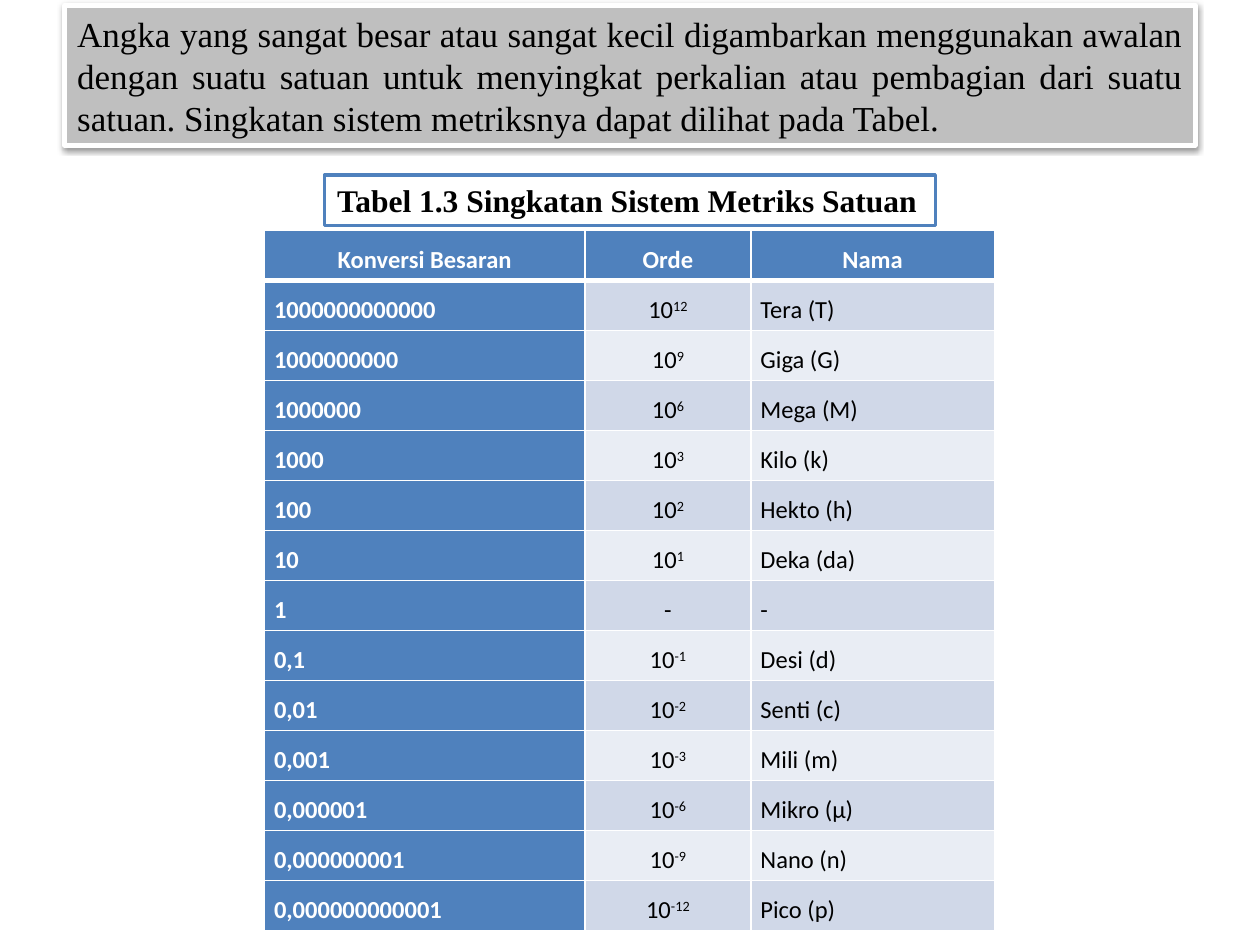
from pptx import Presentation
from pptx import util as u
from pptx.dml.color import RGBColor
from pptx.enum import shapes, text
from pptx.oxml import parse_xml
from pptx.oxml.ns import nsdecls

theme = {
    "blue": "4F81BD", "white": "FFFFFF", "black": "000000", "gray": "BFBFBF",
    "bands": ["D0D8E8", "E9EDF4"],
    "serif": "Times New Roman", "sans": "Calibri",
    "intro_size": 20, "caption_size": 18, "table_size": 14,
}


def write(paragraph, words, size, name, color, bold=False, alignment=text.PP_ALIGN.LEFT):
    paragraph.alignment = alignment
    run = paragraph.add_run()
    run.text = words
    for key, value in {"size": u.Pt(size), "name": name, "bold": bold}.items():
        setattr(run.font, key, value)
    run.font.color.rgb = RGBColor.from_string(color)
    return run


def style_box(shape, box, fill, line, line_width, frame_format):
    for key, value in zip(("left", "top", "width", "height"), box):
        setattr(shape, key, u.Pt(value))
    shape.fill.solid()
    shape.fill.fore_color.rgb = RGBColor.from_string(fill)
    shape.line.color.rgb = RGBColor.from_string(line)
    shape.line.width = u.Pt(line_width)
    for key, value in frame_format.items():
        setattr(shape.text_frame, key, value)


presentation = Presentation()
presentation.slide_width, presentation.slide_height = u.Pt(720), u.Pt(540)
slide = presentation.slides.add_slide(presentation.slide_layouts[5])

frame_format = {"word_wrap": True, "auto_size": text.MSO_AUTO_SIZE.NONE,
                "vertical_anchor": text.MSO_ANCHOR.MIDDLE}
caption = slide.shapes.title
style_box(caption, (185.5, 100, 349, 29), theme["white"], theme["blue"], 2, frame_format)
write(caption.text_frame.paragraphs[0], "Tabel 1.3 Singkatan Sistem Metriks Satuan",
      theme["caption_size"], theme["serif"], theme["black"], bold=True)

intro = slide.shapes.add_shape(shapes.MSO_SHAPE.RECTANGLE, 0, 0, 0, 0)
style_box(intro, (37, 3, 646, 80), theme["gray"], theme["white"], 3, frame_format)
write(intro.text_frame.paragraphs[0],
      "Angka yang sangat besar atau sangat kecil digambarkan menggunakan awalan dengan "
      "suatu satuan untuk menyingkat perkalian atau pembagian dari suatu satuan. "
      "Singkatan sistem metriksnya dapat dilihat pada Tabel.",
      theme["intro_size"], theme["serif"], theme["black"], alignment=text.PP_ALIGN.JUSTIFY)
intro.shadow.inherit = False
intro.element.spPr.remove(intro.element.spPr[-1])
intro.element.spPr.append(parse_xml(
    f'<a:effectLst {nsdecls("a")}><a:outerShdw blurRad="{u.Pt(3.1)}" dist="{u.Pt(1.6)}" '
    f'dir="5400000" rotWithShape="0"><a:srgbClr val="{theme["black"]}">'
    '<a:alpha val="38000"/></a:srgbClr></a:outerShdw></a:effectLst>'))

rows = [
    ("Konversi Besaran", "Orde", "Nama"),
    ("1000000000000", "12", "Tera (T)"),
    ("1000000000", "9", "Giga (G)"),
    ("1000000", "6", "Mega (M)"),
    ("1000", "3", "Kilo (k)"),
    ("100", "2", "Hekto (h)"),
    ("10", "1", "Deka (da)"),
    ("1", "-", "-"),
    ("0,1", "-1", "Desi (d)"),
    ("0,01", "-2", "Senti (c)"),
    ("0,001", "-3", "Mili (m)"),
    ("0,000001", "-6", "Mikro (µ)"),
    ("0,000000001", "-9", "Nano (n)"),
    ("0,000000000001", "-12", "Pico (p)"),
]
column_widths = [183, 95, 139]
row_height = 28.6
table = slide.shapes.add_table(len(rows), len(column_widths), u.Pt(151.2), u.Pt(131.8),
                               u.Pt(sum(column_widths)), u.Pt(row_height * len(rows))).table
for column, width in zip(table.columns, column_widths):
    column.width = u.Pt(width)

cell_format = {"margin_left": u.Pt(5.4), "margin_right": u.Pt(5.4),
               "margin_top": 0, "margin_bottom": 0}
for row_index, row in enumerate(rows):
    table.rows[row_index].height = u.Pt(row_height)
    for column_index, words in enumerate(row):
        cell = table.cell(row_index, column_index)
        for key, value in cell_format.items():
            setattr(cell, key, value)
        heading = row_index == 0 or column_index == 0
        fill = theme["blue"] if heading else theme["bands"][(row_index - 1) % 2]
        cell.fill.solid()
        cell.fill.fore_color.rgb = RGBColor.from_string(fill)

        border_widths = {"L": 1, "R": 1, "T": 3 if row_index == 1 else 1,
                         "B": 3 if row_index == 0 else 1}
        properties = cell._tc.get_or_add_tcPr()
        for position, (side, width) in enumerate(border_widths.items()):
            properties.insert(position, parse_xml(
                f'<a:ln{side} {nsdecls("a")} w="{u.Pt(width)}"><a:solidFill>'
                f'<a:srgbClr val="{theme["white"]}"/></a:solidFill></a:ln{side}>'))

        paragraph = cell.text_frame.paragraphs[0]
        paragraph.line_spacing = 1.5
        centered = row_index == 0 or column_index == 1
        style = {"size": theme["table_size"], "name": theme["sans"], "bold": heading,
                 "color": theme["white"] if heading else theme["black"],
                 "alignment": text.PP_ALIGN.CENTER if centered else text.PP_ALIGN.JUSTIFY}
        if column_index == 1 and row_index > 0 and words != "-":
            write(paragraph, "10", **style)
            exponent = write(paragraph, words, **style)
            exponent.font._element.set("baseline", "30000")
        else:
            write(paragraph, words, **style)

presentation.save("out.pptx")
